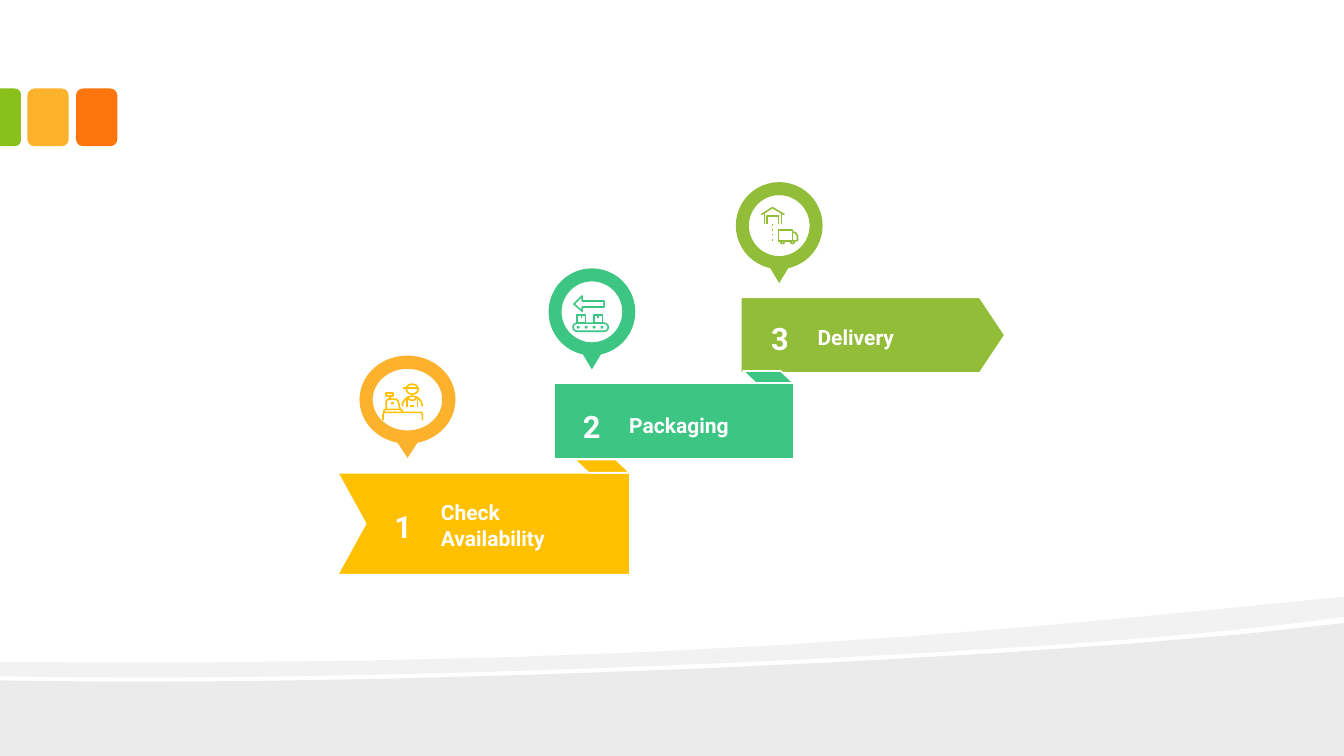
from dataclasses import dataclass
from math import cos, radians, sin
from typing import Callable

from pptx import Presentation
from pptx.dml.color import RGBColor
from pptx.enum.shapes import MSO_SHAPE
from pptx.enum.text import PP_ALIGN
from pptx.oxml.xmlchemy import OxmlElement
from pptx.util import Pt

WHITE = "FFFFFF"
GREEN, TEAL, YELLOW, AMBER = "92BD39", "3CC583", "FFC000", "FCB22C"


def color(code):
    return RGBColor.from_string(code)


# Outlines: lists of points, closed when the last point equals the first
def arc(center_x, center_y, radius_x, radius_y, start=0, sweep=360, steps=6):
    angles = [radians(start + sweep * i / steps) for i in range(steps + 1)]
    return [(round(center_x + radius_x * cos(a), 2),
             round(center_y + radius_y * sin(a), 2)) for a in angles]


def curve(a, b, c, d, steps=10):
    def blend(t, axis):
        s = 1 - t
        return (s ** 3 * a[axis] + 3 * s * s * t * b[axis]
                + 3 * s * t * t * c[axis] + t ** 3 * d[axis])
    return [(blend(i / steps, 0), blend(i / steps, 1)) for i in range(steps + 1)]


def closed(points):
    return points + points[:1]


def rectangle(left, top, width, height):
    right, bottom = left + width, top + height
    return closed([(left, top), (right, top), (right, bottom), (left, bottom)])


def paint(shape, fill=None, line=None, opacity=None):
    shape.shadow.inherit = False
    if fill:
        shape.fill.solid()
        shape.fill.fore_color.rgb = color(fill)
    else:
        shape.fill.background()
    if line:
        shape.line.color.rgb = color(line)
        shape.line.width = Pt(1.12)
    else:
        shape.line.fill.background()
    if opacity:
        alpha = OxmlElement("a:alpha")
        alpha.set("val", str(opacity * 1000))
        shape.fill._xPr.find(".//{*}srgbClr").append(alpha)


def draw(page, left, top, outlines, **style):
    builder = None
    for outline in outlines:
        points = [(Pt(left + x), Pt(top + y)) for x, y in outline]
        if builder is None:
            builder = page.shapes.build_freeform(*points[0], scale=1.0)
        else:
            builder.move_to(*points[0])
        is_closed = outline[0] == outline[-1]
        builder.add_line_segments(points[1:-1] if is_closed else points[1:],
                                  close=is_closed)
    paint(builder.convert_to_shape(), **style)


def add_preset(page, kind, left, top, width, height, fill):
    shape = page.shapes.add_shape(kind, Pt(left), Pt(top), Pt(width), Pt(height))
    paint(shape, fill)
    return shape


def write(page, left, top, width, height, lines, size, align=PP_ALIGN.LEFT):
    box = page.shapes.add_textbox(Pt(left), Pt(top), Pt(width), Pt(height))
    frame = box.text_frame
    frame.word_wrap = True
    frame.margin_left = frame.margin_right = 0
    frame.margin_top = frame.margin_bottom = 0
    para = frame.paragraphs[0]
    para.alignment = align
    for index, line in enumerate(lines):
        if index:
            para.add_line_break()
        span = para.add_run()
        span.text = line
        span.font.name, span.font.size, span.font.bold = "Roboto", Pt(size), True
        span.font.color.rgb = color(WHITE)


# Icons, each within a box of about 26 points
def delivery_icon():
    house = [[(0, 5), (8, 0), (16.5, 5)],
             [(2.2, 3.6), (2.2, 11.5)], [(14.4, 3.6), (14.4, 11.5)],
             [(4.3, 11.5), (4.3, 5.8), (12.2, 5.8), (12.2, 11.5)]]
    route = [[(8, y), (8, y + 1.2)] for y in (11.6, 15.2, 18.6, 22.5)]
    truck = [rectangle(12.2, 15.8, 10.1, 8),
             [(22.3, 23.8), (25.2, 23.8), (25.9, 23), (25.9, 20.2),
              (24.5, 18), (22.3, 17.3)]]
    wheels = [arc(x, 24.2, 1.5, 1.5, 0, 180, steps=4) for x in (15.1, 22.3)]
    return house + route + truck + wheels


def packaging_icon():
    arrow = closed([(0.7, 5.8), (6.5, 0), (6.5, 3.6), (22.3, 3.6),
                    (22.3, 7.9), (6.5, 7.9), (6.5, 10.8)])
    parcels = [rectangle(x, 13.7, 6, 5.7) for x in (3, 15)]
    tape = [[(x, 13.7), (x, 15.8)] for x in (6.2, 18)]
    belt = closed(arc(2.9, 22.3, 2.9, 2.9, 90, 180)
                  + arc(22.3, 22.3, 2.9, 2.9, 270, 180))
    rollers = [arc(3.7 + 5.7 * i, 22.3, 0.6, 0.6, steps=4) for i in range(4)]
    return [arrow, belt] + parcels + tape + rollers


def cashier_icon():
    counter = [(0, 25.9), (0, 21.6), (0.7, 20.2), (27.4, 20.2),
               (28.1, 21.6), (28.1, 25.9)]
    register = [[(0.7, 20.2), (0.7, 18.7), (2.2, 18), (12.2, 18),
                 (13.7, 18.7), (13.7, 20.2)],
                [(2.2, 18), (2.2, 12.2), (3.6, 10.8), (9.4, 10.8),
                 (10.8, 12.2), (12.2, 18)],
                [(5, 8.6), (5, 10.8)], [(5.8, 13.7), (7.9, 13.7)],
                rectangle(2.2, 6.5, 5, 2.1)]
    clerk = [arc(20.9, 3.6, 4.3, 3.6, steps=12), [(14.4, 2.9), (25.2, 2.9)],
             arc(20.9, 15.8, 7.2, 7.2, 180, 180, steps=8),
             arc(20.9, 9.4, 2.9, 2.2, 0, 180),
             [(17.3, 9.4), (17.3, 16.6)], [(24.5, 9.4), (24.5, 16.6)],
             [(19.4, 15.8), (22.3, 15.8)]]
    return [counter] + register + clerk


# Background waves
def add_waves(page, left, top, width, height):
    floor = [(width, height), (0, height)] + curve(
        (0, 486), (253.4, 491.8), (750.2, 471.6), (width, 445))
    band = (curve((width, 440.6), (903.6, 448.6), (827.3, 455.8), (740.9, 461.5))
            + curve((740.9, 461.5), (502.6, 477.4), (185.8, 487.4), (0, 483.1))
            + curve((0, 473), (469.4, 476.6), (699.1, 452.2), (width, 426.2)))
    for outline, opacity in ((floor, 8), (band, 5)):
        draw(page, left, top, [closed(outline)], fill="000000", opacity=opacity)


# Coloured tabs at the left edge
def add_tabs(page, left, top, width, height):
    for x, fill in ((54.3, "FE750E"), (19.6, AMBER)):
        add_preset(page, MSO_SHAPE.ROUNDED_RECTANGLE, left + x, top,
                   width, height, fill)
    depth = 15
    edge = add_preset(page, MSO_SHAPE.ROUND_2_SAME_RECTANGLE,
                      left + (depth - height) / 2, top + (height - depth) / 2,
                      height, depth, "89C01C")
    edge.rotation = 90
    edge.adjustments[0] = 0.29


@dataclass
class Step:
    number: str
    label: list
    box: tuple          # banner: left, top, width, height
    fill: str
    pin: tuple          # offset from the banner, then width and height
    pin_fill: str
    icon: Callable
    icon_offset: tuple  # from the pin
    text_offset: tuple  # number, from the banner
    label_rise: float   # label, from the number
    notch: float = 0
    point: float = 0
    fold: tuple = ()    # width, height, slant


def add_pin(page, left, top, width, height, fill):
    tail = width * 0.21
    add_preset(page, MSO_SHAPE.FLOWCHART_MERGE, left + (width - tail) / 2,
               top + height * 0.84, tail, height * 0.15, fill)
    inset = 0.5
    ring = add_preset(page, MSO_SHAPE.DONUT, left + inset, top + inset,
                      width - 2 * inset, height * 0.86 - 2 * inset, fill)
    ring.adjustments[0] = 0.15


def add_step(page, step):
    left, top, width, height = step.box
    # Pin and icon
    pin_left, pin_top = left + step.pin[0], top + step.pin[1]
    add_pin(page, pin_left, pin_top, *step.pin[2:], step.pin_fill)
    draw(page, pin_left + step.icon_offset[0], pin_top + step.icon_offset[1],
         step.icon(), line=step.fill)
    # Banner and fold
    banner = [(0, 0), (width - step.point, 0), (width, height / 2),
              (width - step.point, height), (0, height), (step.notch, height / 2)]
    draw(page, left, top, [closed(banner)], fill=step.fill, line=WHITE)
    if step.fold:
        across, rise, slant = step.fold
        fold = [(width - slant, -rise), (width, 0),
                (width - across + slant, 0), (width - across, -rise)]
        draw(page, left, top, [closed(fold)], fill=step.fill, line=WHITE)
    # Number and label
    text_left, text_top = left + step.text_offset[0], top + step.text_offset[1]
    write(page, text_left, text_top, 16, 26.5, [step.number], 22, PP_ALIGN.CENTER)
    write(page, text_left + 34.8, text_top + step.label_rise, 88,
          18 * len(step.label), step.label, 15)


STEPS = [
    Step("3", ["Delivery"], (529.2, 212.4, 188.6, 54), GREEN,
         (-4.1, -82.8, 63, 73.4), GREEN, delivery_icon, (18.7, 18.7),
         (20, 15.8), 3.6, point=18),
    Step("2", ["Packaging"], (395.8, 273.6, 171, 54), TEAL,
         (-4.5, -82.4, 63, 73.4), TEAL, packaging_icon, (18, 20.2),
         (18.9, 17.3), 3.6, fold=(36, 8.6, 9)),
    Step("1", ["Check", "Availability"], (241.2, 337.7, 208.8, 72.7), YELLOW,
         (15.1, -84.2, 69.6, 74.3), AMBER, cashier_icon, (17.3, 20.9),
         (38.9, 25.2), -5.8, notch=20, fold=(39.6, 9.4, 10)),
]


def main():
    deck = Presentation()
    deck.slide_width, deck.slide_height = Pt(960), Pt(540)
    page = deck.slides.add_slide(deck.slide_layouts[6])
    add_waves(page, 0, 0, 960, 540)
    add_tabs(page, 0, 63.2, 29.5, 41.2)
    for step in STEPS:
        add_step(page, step)
    deck.save("out.pptx")


if __name__ == "__main__":
    main()
